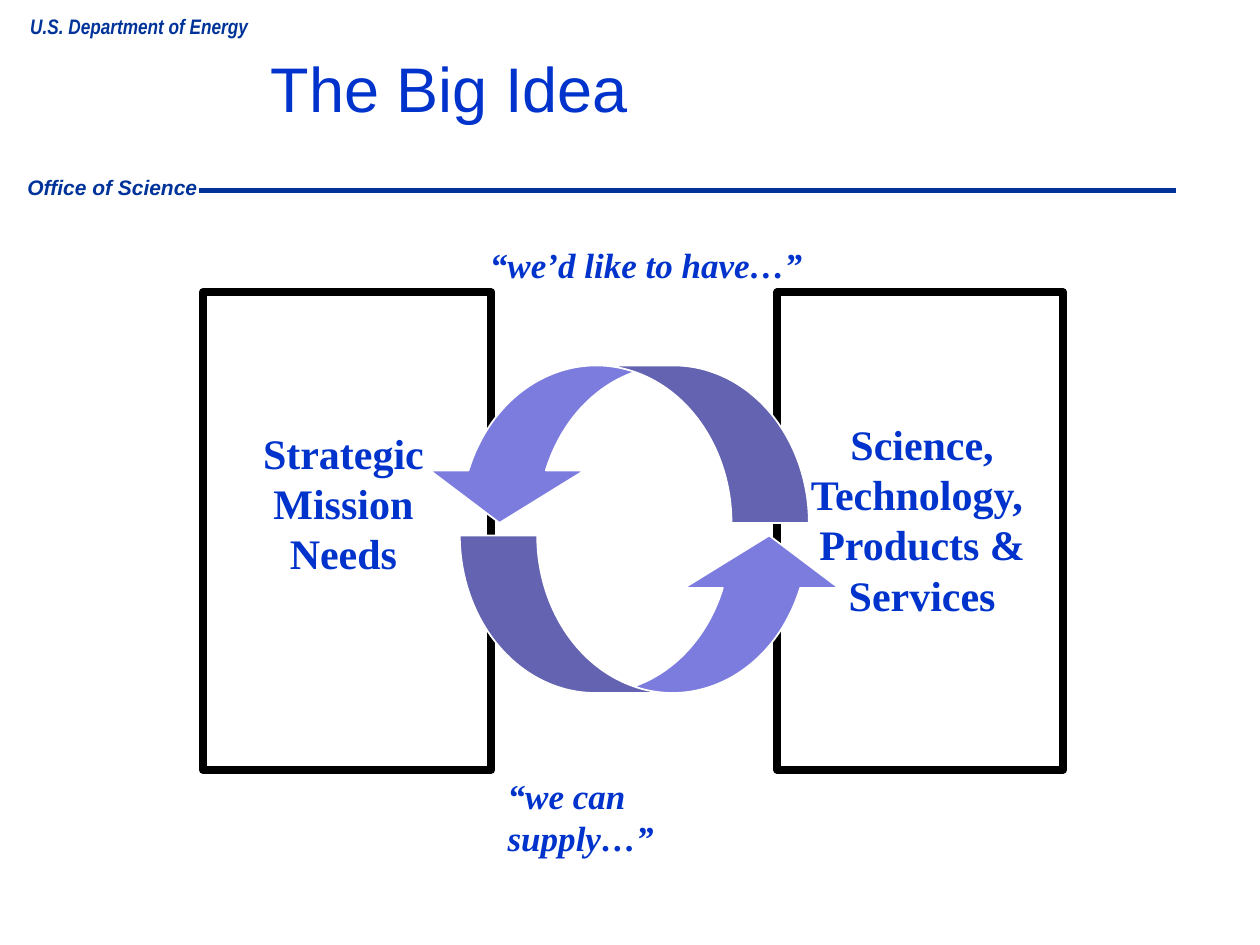
from pptx import Presentation
from pptx.dml.color import RGBColor
from pptx.enum.shapes import MSO_CONNECTOR, MSO_SHAPE
from pptx.enum.text import MSO_ANCHOR, PP_ALIGN
from pptx.oxml.ns import qn
from pptx.util import Pt

THEME = {
    "navy": "003399", "blue": "0033CC", "violet": "7C7CDE",
    "black": "000000", "white": "FFFFFF",
    "sans": "Arial", "narrow": "Arial Narrow", "serif": "Times New Roman",
    "label": 12, "title": 36, "body": 24, "quote": 20,
}

HEADER_RULE = (113.8, 671.8, 108.7)
LABELS = [
    (["Office of Science"], (8.6, 96.5, 111.6, 21.6), "sans", PP_ALIGN.LEFT),
    (["U.S. Department of Energy"], (10.1, 4.3, 139, 21.6), "narrow", PP_ALIGN.CENTER),
]
TITLE = (["The Big Idea"], (147.6, 0, 572.4, 108))
PANELS = [
    ((115.9, 167, 164.9, 272.9), ["Strategic Mission Needs"], (128.2, 240.5, 136.1, 93.6)),
    ((444.2, 167, 163.4, 272.9), ["Science,", "Technology, ", "Products & Services"],
     (455, 235.4, 144, 122.4)),
]
ARROW_SIZE = (221, 90)
ARROWS = [(262.8, 306, 0), (241.2, 208.8, 180)]
QUOTES = [
    (["“we’d like to have…”"], (272.9, 135.4, 193, 31.7)),
    (["“we can supply…”"], (283, 439.2, 169.9, 31.7)),
]


def color(name):
    return RGBColor.from_string(THEME[name])


def add_text(slide, lines, box, *, size, font="serif", fill="blue", bold=True, italic=False,
             align=PP_ALIGN.LEFT, anchor=MSO_ANCHOR.TOP, wrap=False, spacing=1.0):
    frame = slide.shapes.add_textbox(*map(Pt, box)).text_frame
    frame.word_wrap = wrap
    frame.vertical_anchor = anchor
    for index, line in enumerate(lines):
        paragraph = frame.add_paragraph() if index else frame.paragraphs[0]
        paragraph.alignment = align
        paragraph.line_spacing = spacing
        run = paragraph.add_run()
        run.text = line
        run.font.name = THEME[font]
        run.font.size = Pt(THEME[size])
        run.font.bold = bold
        run.font.italic = italic
        run.font.color.rgb = color(fill)


def add_preset(slide, preset, box, line, width, fill=None):
    shape = slide.shapes.add_shape(preset, *map(Pt, box))
    shape.shadow.inherit = False
    if fill:
        shape.fill.solid()
        shape.fill.fore_color.rgb = color(fill)
    else:
        shape.fill.background()
    shape.line.color.rgb = color(line)
    shape.line.width = Pt(width)
    return shape


def add_rule(slide, left, right, top):
    rule = slide.shapes.add_connector(MSO_CONNECTOR.STRAIGHT, Pt(left), Pt(top), Pt(right), Pt(top))
    rule.line.color.rgb = color("navy")
    rule.line.width = Pt(3)
    properties = rule._element.spPr
    properties.append(properties.makeelement(qn("a:effectLst"), {}))


def add_cycle_arrow(slide, left, top, rotation):
    width, height = ARROW_SIZE
    arrow = add_preset(slide, MSO_SHAPE.CURVED_UP_ARROW, (left, top, width, height),
                       "white", 1, "violet")
    band = 0.2 * width / height
    for index, value in enumerate((band, 2 * band, 1 / 3)):
        arrow.adjustments[index] = value
    arrow.rotation = rotation


def main():
    presentation = Presentation()
    presentation.slide_width, presentation.slide_height = Pt(720), Pt(540)
    slide = presentation.slides.add_slide(presentation.slide_layouts[6])

    add_rule(slide, *HEADER_RULE)
    for lines, box, font, align in LABELS:
        add_text(slide, lines, box, size="label", font=font, fill="navy", italic=True, align=align)
    add_text(slide, *TITLE, size="title", font="sans", bold=False,
             anchor=MSO_ANCHOR.MIDDLE, wrap=True, spacing=0.8)
    for frame_box, lines, text_box in PANELS:
        add_preset(slide, MSO_SHAPE.RECTANGLE, frame_box, "black", 4.5)
        add_text(slide, lines, text_box, size="body", align=PP_ALIGN.CENTER, wrap=True)
    for arrow in ARROWS:
        add_cycle_arrow(slide, *arrow)
    for lines, box in QUOTES:
        add_text(slide, lines, box, size="quote", italic=True)

    presentation.save("out.pptx")


if __name__ == "__main__":
    main()
